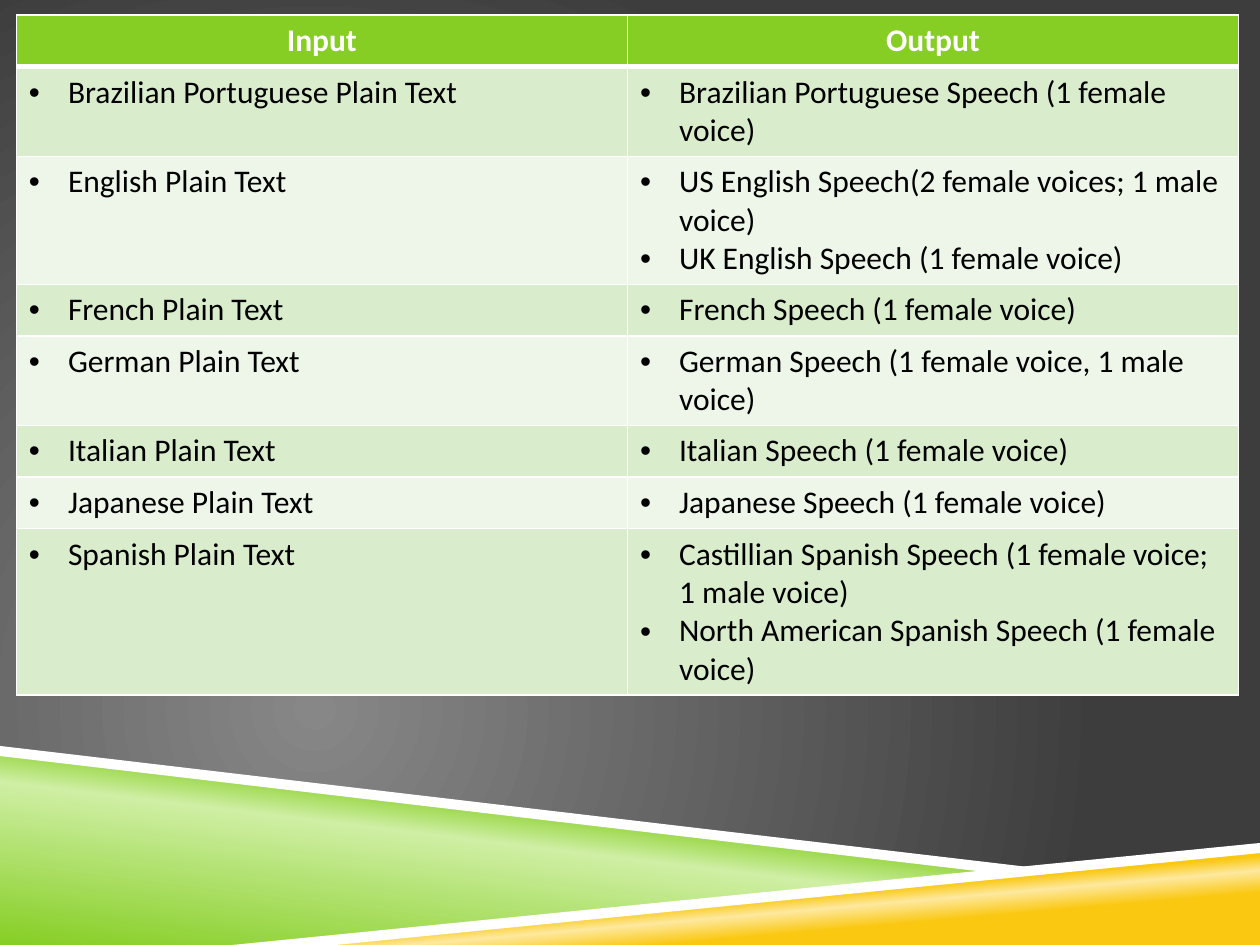
from lxml import etree
from pptx import Presentation
from pptx.dml.color import RGBColor
from pptx.enum import text
from pptx.oxml import ns
from pptx.util import Inches, Pt

WHITE = RGBColor(0xFF, 0xFF, 0xFF)
BLACK = RGBColor(0x00, 0x00, 0x00)
GREEN = RGBColor(0x86, 0xCE, 0x24)
LIGHT_GREEN = RGBColor(0xCF, 0xEF, 0xA4)
GOLD = RGBColor(0xFA, 0xC8, 0x10)
LIGHT_GOLD = RGBColor(0xFD, 0xE9, 0x9F)
GREY = RGBColor(0x87, 0x87, 0x87)
DARK_GREY = RGBColor(0x3D, 0x3D, 0x3D)
BANDS = (RGBColor(0xD9, 0xED, 0xCD), RGBColor(0xED, 0xF6, 0xE8))


def add(parent, tag, **attributes):
    """Append a DrawingML child element."""
    child = etree.SubElement(parent, ns.qn(tag))
    for name, value in attributes.items():
        child.set(name, str(value))
    return child


class SlideWriter:
    font = "Calibri"
    size = Pt(18)
    indent = Inches(0.31)

    def __init__(self, page):
        self.page = page

    def gradient(self, fill, owner, stops, angle=None, focus=None):
        fill.gradient()
        gradient = owner.xpath(".//a:gradFill")[0]
        for child in list(gradient):
            gradient.remove(child)
        stop_list = add(gradient, "a:gsLst")
        for position, color in stops:
            stop = add(stop_list, "a:gs", pos=position * 1000)
            add(stop, "a:srgbClr", val=color)
        if focus:
            circle = add(gradient, "a:path", path="circle")
            add(circle, "a:fillToRect", **{k: v * 1000 for k, v in focus.items()})
        else:
            add(gradient, "a:lin", ang=angle * 60000, scaled=0)

    def background(self, stops, focus):
        fill = self.page.background.fill
        self.gradient(fill, self.page.element, stops, focus=focus)

    def polygon(self, points, color=None, stops=None, angle=None):
        corners = [(Inches(x), Inches(y)) for x, y in points]
        builder = self.page.shapes.build_freeform(*corners[0])
        builder.add_line_segments(corners[1:], close=True)
        shape = builder.convert_to_shape()
        shape.shadow.inherit = False
        shape.line.fill.background()
        if stops:
            self.gradient(shape.fill, shape.element, stops, angle)
        else:
            shape.fill.solid()
            shape.fill.fore_color.rgb = color

    def borders(self, cell, **widths):
        properties = cell._tc.get_or_add_tcPr()
        for place, side in enumerate("LRTB"):
            line = add(properties, f"a:ln{side}", w=Pt(widths.get(side, 1)))
            add(add(line, "a:solidFill"), "a:srgbClr", val=WHITE)
            properties.insert(place, line)

    def cell(self, cell, lines, fill, color, header=False):
        cell.fill.solid()
        cell.fill.fore_color.rgb = fill
        cell.text_frame.text = "\n".join(lines)
        for paragraph in cell.text_frame.paragraphs:
            if header:
                paragraph.alignment = text.PP_ALIGN.CENTER
            else:
                properties = paragraph._p.get_or_add_pPr()
                properties.set("marL", str(self.indent))
                properties.set("indent", str(-self.indent))
                add(properties, "a:buFont", typeface="Arial")
                add(properties, "a:buChar", char="•")
            for span in paragraph.runs:
                span.font.name = self.font
                span.font.size = self.size
                span.font.bold = header
                span.font.color.rgb = color

    def table(self, left, top, column_width, row_height, header, rows):
        count = len(rows) + 1
        table = self.page.shapes.add_table(
            count, len(header), Inches(left), Inches(top),
            Inches(column_width * len(header)), Inches(row_height * count)).table
        for column in table.columns:
            column.width = Inches(column_width)
        for row in table.rows:
            row.height = Inches(row_height)
        for index, title in enumerate(header):
            cell = table.cell(0, index)
            self.cell(cell, [title], GREEN, WHITE, header=True)
            self.borders(cell, B=3)
        for number, entries in enumerate(rows, start=1):
            for index, lines in enumerate(entries):
                cell = table.cell(number, index)
                self.cell(cell, lines, BANDS[(number - 1) % 2], BLACK)
                self.borders(cell, T=3 if number == 1 else 1)


deck = Presentation()
deck.slide_width, deck.slide_height = Inches(10), Inches(7.5)
writer = SlideWriter(deck.slides.add_slide(deck.slide_layouts[6]))

# Background glow
writer.background([(0, GREY), (100, DARK_GREY)], dict(l=50, t=100, r=100, b=50))

# Coloured wedges and their white edges
writer.polygon([(0, 5.97), (7.92, 6.92), (2, 7.5), (0, 7.5)],
               stops=[(0, GREEN), (52, LIGHT_GREEN), (66, GREEN)], angle=277)
writer.polygon([(1.98, 7.5), (10, 6.72), (10, 7.5)],
               stops=[(28, GOLD), (40, LIGHT_GOLD), (48, GOLD)], angle=265)
writer.polygon([(0, 5.92), (0, 6), (7.9, 6.93), (8.32, 6.9)], WHITE)
writer.polygon([(10, 6.69), (1.84, 7.5), (2.66, 7.5), (10, 6.77)], WHITE)

# Languages: plain text in, speech out
voices = {
    "Brazilian Portuguese": ["Brazilian Portuguese Speech (1 female voice)"],
    "English": ["US English Speech(2 female voices; 1 male voice)",
                "UK English Speech (1 female voice)"],
    "French": ["French Speech (1 female voice)"],
    "German": ["German Speech (1 female voice, 1 male voice)"],
    "Italian": ["Italian Speech (1 female voice)"],
    "Japanese": ["Japanese Speech (1 female voice)"],
    "Spanish": ["Castillian Spanish Speech (1 female voice; 1 male voice)",
                "North American Spanish Speech (1 female voice)"],
}
rows = [([f"{language} Plain Text"], speech) for language, speech in voices.items()]
writer.table(0.13, 0.12, 4.85, 0.41, ["Input", "Output"], rows)

deck.save("out.pptx")
